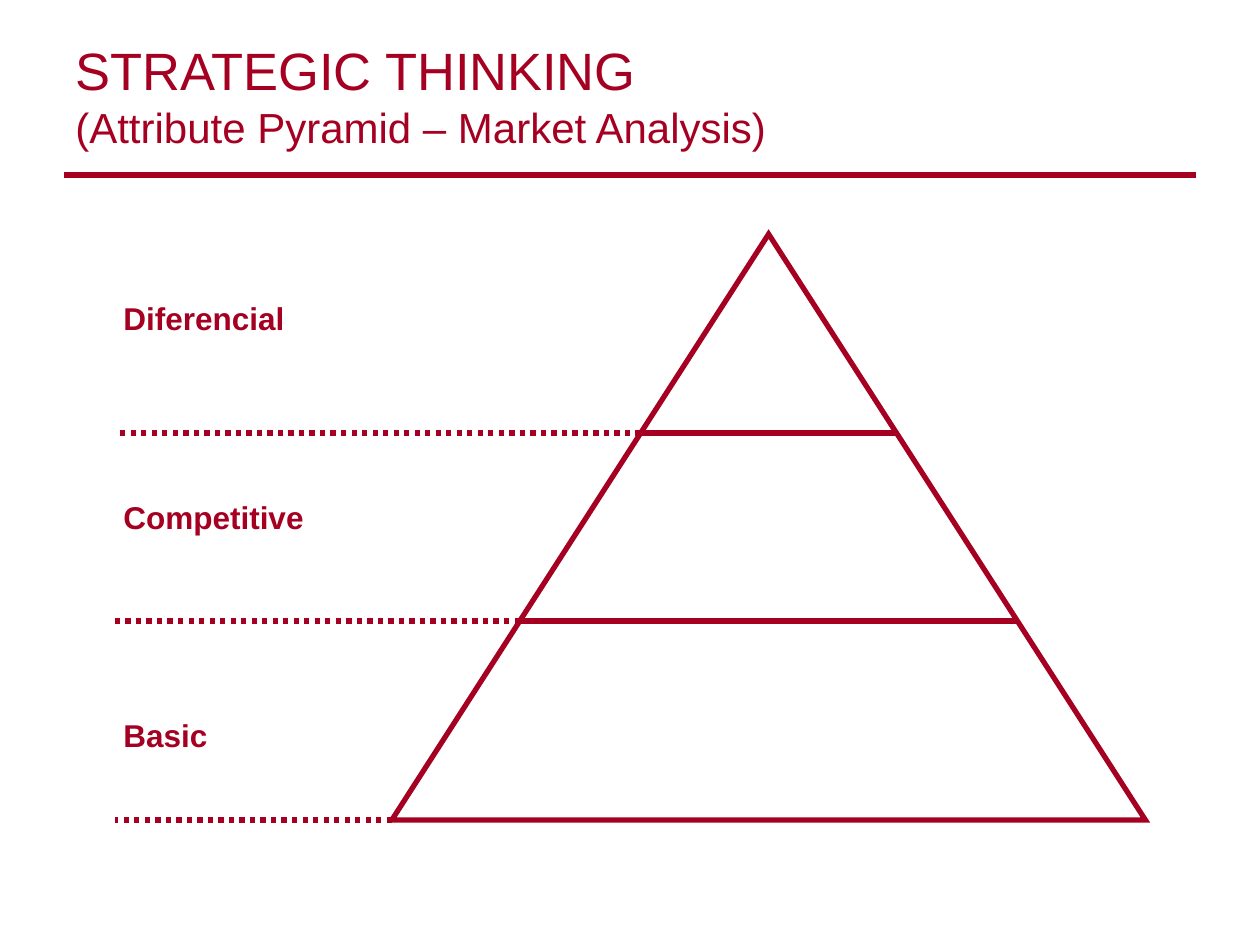
from lxml import etree
from pptx import Presentation
from pptx import util as u
from pptx.dml.color import RGBColor
from pptx.enum import dml, shapes, text
from pptx.oxml.ns import qn

COLORS = {"main": "A50021"}
FONT = "Arial"


def add_text(p, content, size=18, bold=False, color="main"):
    r = p.add_run()
    r.text = content
    r.font.name = FONT
    r.font.size = u.Pt(size)
    r.font.bold = bold
    r.font.color.rgb = RGBColor.from_string(COLORS[color])


class Deck:
    """Holds the line style and the current slide."""

    def __init__(self, slide, color="main", width=3):
        self.s = slide
        self.color = RGBColor.from_string(COLORS[color])
        self.width = u.Pt(width)

    def stroke(self, sp):
        sp.line.color.rgb = self.color
        sp.line.width = self.width

    def line(self, x1, x2, y, dotted=False):
        c = self.s.shapes.add_connector(
            shapes.MSO_CONNECTOR.STRAIGHT, u.Cm(x1), u.Cm(y), u.Cm(x2), u.Cm(y))
        self.stroke(c)
        if dotted:
            c.line.dash_style = dml.MSO_LINE.ROUND_DOT
        etree.SubElement(c._element.spPr, qn("a:effectLst"))

    def triangle(self, x, y, w, h):
        sp = self.s.shapes.add_shape(
            shapes.MSO_SHAPE.ISOSCELES_TRIANGLE, u.Cm(x), u.Cm(y), u.Cm(w), u.Cm(h))
        sp.shadow.inherit = False
        sp.fill.background()
        self.stroke(sp)
        # Sharp corners
        ln = sp._element.spPr.find(qn("a:ln"))
        etree.SubElement(ln, qn("a:miter")).set("lim", "800000")

    def box(self, x, y, w, h, wrap=False):
        tf = self.s.shapes.add_textbox(u.Cm(x), u.Cm(y), u.Cm(w), u.Cm(h)).text_frame
        tf.word_wrap = wrap
        return tf

    def title(self, heading, subtitle):
        tf = self.box(1.27, 0.33, 22.86, 3.18, wrap=True)
        tf.vertical_anchor = text.MSO_ANCHOR.MIDDLE
        p = tf.paragraphs[0]
        add_text(p, heading, size=30)
        p.add_line_break()
        add_text(p, subtitle, size=24)

    def label(self, content, x, y, w):
        tf = self.box(x, y, w, 1.02)
        tf.auto_size = text.MSO_AUTO_SIZE.SHAPE_TO_FIT_TEXT
        add_text(tf.paragraphs[0], content, bold=True)


def main():
    prs = Presentation()
    prs.slide_width, prs.slide_height = u.Cm(25.4), u.Cm(19.05)
    deck = Deck(prs.slides.add_slide(prs.slide_layouts[6]))

    # Title and rule
    deck.title("STRATEGIC THINKING", "(Attribute Pyramid – Market Analysis)")
    deck.line(1.3, 24.1, 3.53)

    # Pyramid
    left, top, width, height = 7.9, 4.72, 15.19, 11.81
    base, middle = top + height, left + width / 2
    deck.triangle(left, top, width, height)

    # Levels: label, label top, label width, lower edge
    levels = [("Diferencial", 5.9, 3.8, 8.73),
              ("Competitive", 9.91, 4.2, 12.52),
              ("Basic", 14.3, 2.4, base)]
    for name, label_y, label_w, edge in levels:
        half = width / 2 * (edge - top) / height
        if edge < base:
            deck.line(middle + half, middle - half, edge)
        deck.line(middle - half, 2.32, edge, dotted=True)
        deck.label(name, 2.24, label_y, label_w)

    prs.save("out.pptx")


if __name__ == "__main__":
    main()
